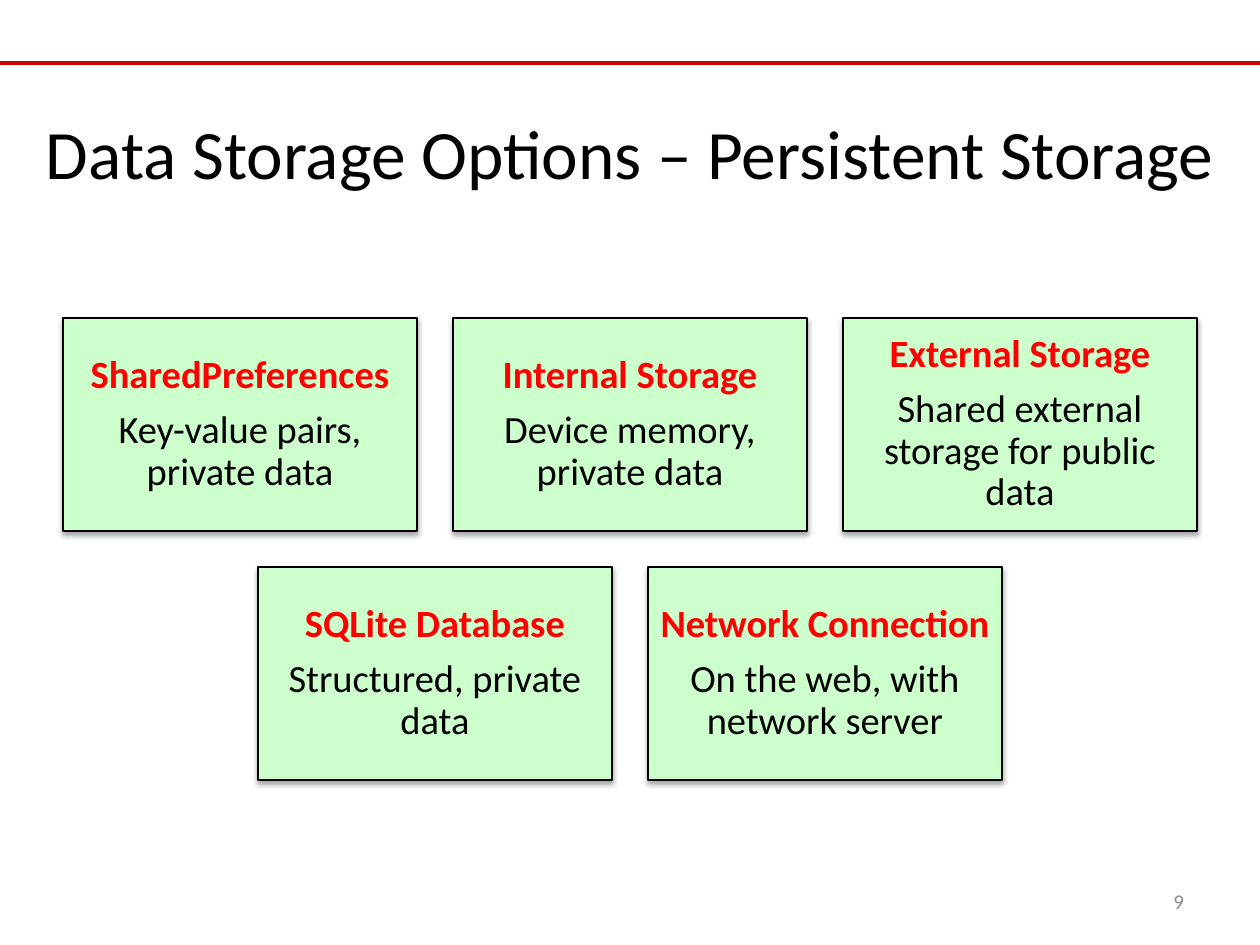
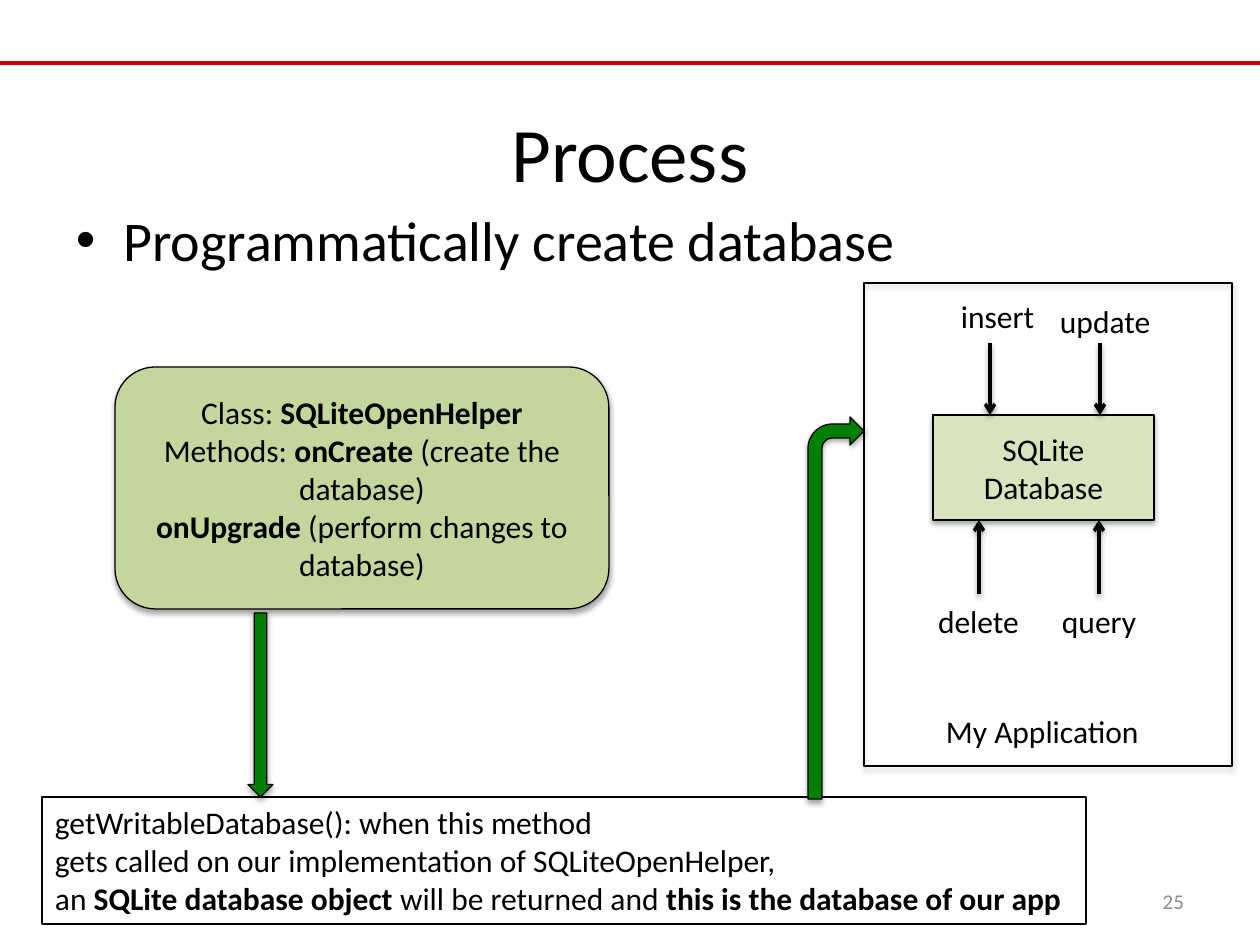
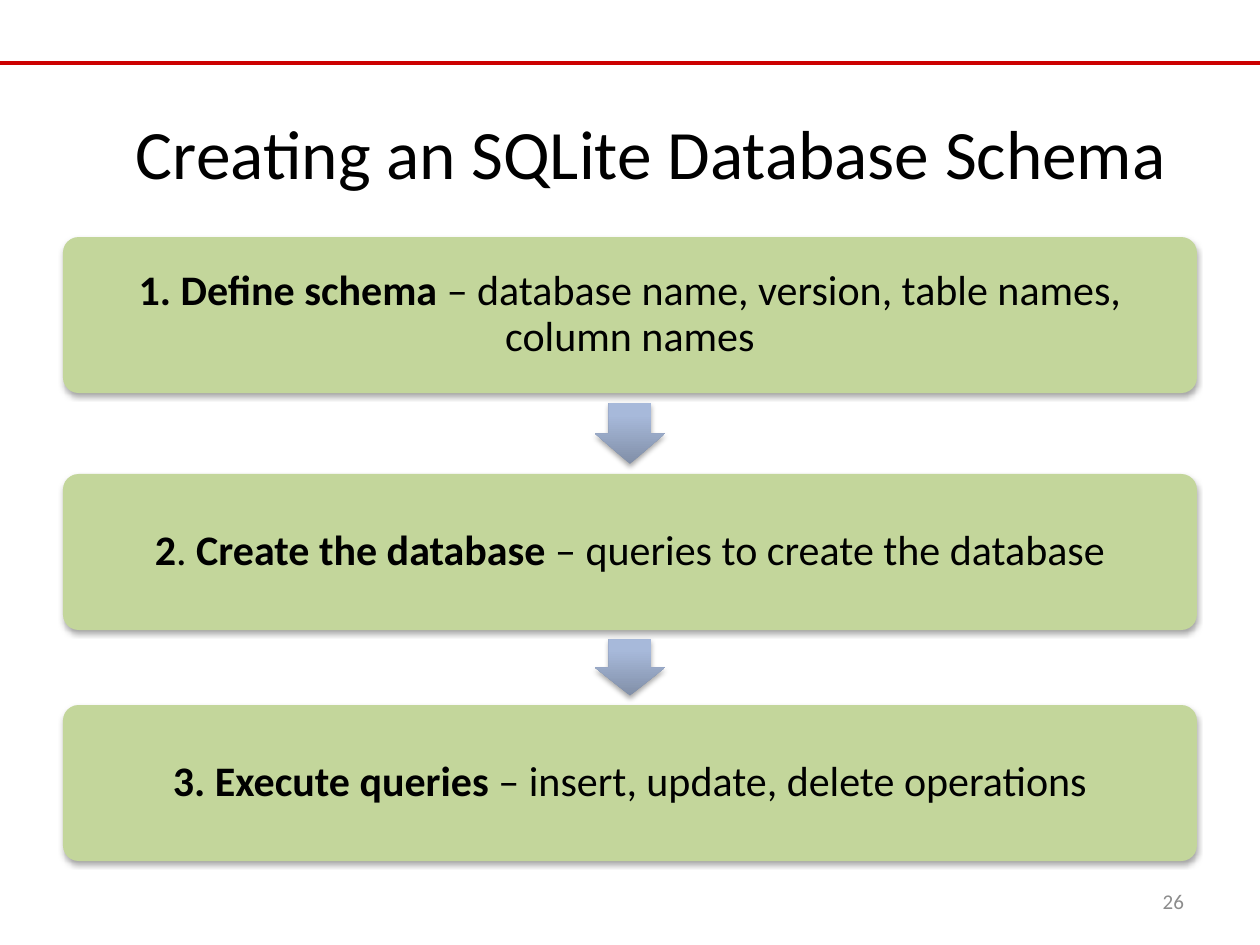
from lxml import etree
from pptx import Presentation
from pptx import util as u
from pptx.dml.color import RGBColor
from pptx.enum import shapes, text
from pptx.oxml import ns

PX = 914400 / 126
WIDTH, HEIGHT = 1260, 945

BLACK = RGBColor(0x00, 0x00, 0x00)
GREY = RGBColor(0x8C, 0x8C, 0x8C)
RED = RGBColor(0xFF, 0x00, 0x00)
RULE_RED = RGBColor(0xCC, 0x00, 0x00)
MINT = RGBColor(0xCC, 0xFF, 0xCC)
OLIVE = RGBColor(0xC3, 0xD6, 0x9B)
PALE_OLIVE = RGBColor(0xD7, 0xE4, 0xBD)
ARROW_GREEN = RGBColor(0x00, 0x80, 0x00)
STEEL_DARK = RGBColor(0x81, 0x8F, 0xA8)
STEEL_LIGHT = RGBColor(0xA7, 0xB9, 0xDA)

LEFT, CENTER, RIGHT = (text.PP_ALIGN.LEFT, text.PP_ALIGN.CENTER, text.PP_ALIGN.RIGHT)
TOP, MIDDLE = text.MSO_ANCHOR.TOP, text.MSO_ANCHOR.MIDDLE
PRESET = shapes.MSO_SHAPE


def px(length):
    return u.Emu(round(length * PX))


def add_child(parent, tag, **attributes):
    child = etree.SubElement(parent, ns.qn(tag))
    for key, value in attributes.items():
        child.set(key, str(value))
    return child


def add_shadow(effects, distance, opacity):
    """Put a soft shadow straight below into an effect list."""
    shadow = add_child(effects, "a:outerShdw", blurRad=40000, dist=distance,
                       dir=5400000, rotWithShape=0)
    colour = add_child(shadow, "a:srgbClr", val="000000")
    add_child(colour, "a:alpha", val=opacity * 1000)


def write(frame, lines, size=18, colours=(BLACK,), align=LEFT, anchor=TOP,
          wrap=True, insets=(13, 6), spacing=None, before=None, after=None):
    """Fill a frame with one paragraph a line; *stars* enclose bold text.

    The last of the colours goes on for all further lines.
    """
    frame.word_wrap = wrap
    frame.vertical_anchor = anchor
    frame.auto_size = text.MSO_AUTO_SIZE.NONE if wrap else text.MSO_AUTO_SIZE.SHAPE_TO_FIT_TEXT
    frame.margin_left = frame.margin_right = px(insets[0])
    frame.margin_top = frame.margin_bottom = px(insets[1])
    for index, line in enumerate(lines):
        paragraph = frame.add_paragraph() if index else frame.paragraphs[0]
        paragraph.alignment = align
        paragraph.line_spacing = spacing
        paragraph.space_before = before
        paragraph.space_after = after
        for part, words in enumerate(line.split("*")):
            if words:
                run = paragraph.add_run()
                run.text = words
                run.font.name = "Calibri"
                run.font.size = u.Pt(size)
                run.font.bold = part % 2 == 1
                run.font.color.rgb = colours[min(index, len(colours) - 1)]


class Deck:
    def __init__(self):
        self.presentation = Presentation()
        self.presentation.slide_width = px(WIDTH)
        self.presentation.slide_height = px(HEIGHT)
        self.slide = None

    def new_slide(self, title, number, title_size=39.6, title_left=63, title_width=1134):
        self.slide = self.presentation.slides.add_slide(self.presentation.slide_layouts[6])
        self.line(WIDTH, 63, 0, 63, RULE_RED, 2.25)
        self.label(title_left, 73, title_width, 158, [title], size=title_size,
                   align=CENTER, anchor=MIDDLE)
        self.label(903, 876, 294, 50, [str(number)], size=12, colours=(GREY,),
                   align=RIGHT, anchor=MIDDLE)

    def label(self, left, top, width, height, lines, **style):
        box = self.slide.shapes.add_textbox(px(left), px(top), px(width), px(height))
        write(box.text_frame, lines, **style)
        return box

    def shape(self, preset, left, top, width, height, fill=None, outlined=True,
              shadow=True, adjust=(), lines=(), **style):
        shape = self.slide.shapes.add_shape(preset, px(left), px(top), px(width), px(height))
        for index, value in enumerate(adjust):
            shape.adjustments[index] = value
        if fill is None:
            shape.fill.background()
        else:
            shape.fill.solid()
            shape.fill.fore_color.rgb = fill
        if outlined:
            shape.line.color.rgb = BLACK
            shape.line.width = u.Pt(0.75)
        else:
            shape.line.fill.background()
        shape.shadow.inherit = False
        if shadow:
            add_shadow(shape.element.spPr.find(ns.qn("a:effectLst")), 23000, 35)
        if lines:
            write(shape.text_frame, lines, **style)
        return shape

    def line(self, x1, y1, x2, y2, colour, weight, arrow=False):
        """Draw a line; an arrow also gets a head at its end and a shadow."""
        line = self.slide.shapes.add_connector(
            shapes.MSO_CONNECTOR.STRAIGHT, px(x1), px(y1), px(x2), px(y2))
        line.line.color.rgb = colour
        line.line.width = u.Pt(weight)
        properties = line.element.spPr
        effects = add_child(properties, "a:effectLst")
        if arrow:
            add_child(properties.find(ns.qn("a:ln")), "a:tailEnd", type="arrow")
            add_shadow(effects, 20000, 38)

    def bullet(self, left, top, width, height, words, size):
        box = self.label(left, top, width, height, [words], size=size, before=u.Pt(size / 5))
        properties = box.text_frame.paragraphs[0]._p.get_or_add_pPr()
        properties.set("marL", "342900")
        properties.set("indent", "-342900")
        add_child(properties, "a:buFont", typeface="Arial")
        add_child(properties, "a:buChar", char="•")


def storage_options(deck):
    deck.new_slide("Data Storage Options – Persistent Storage", 9,
                   title_left=0, title_width=WIDTH)
    rows = [
        [("SharedPreferences", "Key-value pairs, private data"),
         ("Internal Storage", "Device memory, private data"),
         ("External Storage", "Shared external storage for public data")],
        [("SQLite Database", "Structured, private data"),
         ("Network Connection", "On the web, with network server")],
    ]
    width, height, gap = 354, 213, 36
    for row, options in enumerate(rows):
        start = (WIDTH - len(options) * (width + gap) + gap) // 2
        for column, (option, use) in enumerate(options):
            deck.shape(PRESET.RECTANGLE, start + column * (width + gap),
                       318 + row * (height + gap), width, height, MINT,
                       lines=[f"*{option}*", use], size=22, colours=(RED, BLACK),
                       align=CENTER, anchor=MIDDLE, insets=(11, 11),
                       spacing=0.9, after=u.Pt(7.7))


def process(deck):
    deck.new_slide("Process", 25, title_size=44)
    deck.bullet(63, 199, 1134, 662, "Programmatically create database", 32)
    deck.shape(PRESET.ROUNDED_RECTANGLE, 115, 367, 494, 242, OLIVE,
               lines=["Class: *SQLiteOpenHelper*",
                      "Methods: *onCreate* (create the database)",
                      "*onUpgrade *(perform changes to database)"],
               align=CENTER, anchor=MIDDLE)

    deck.shape(PRESET.RECTANGLE, 933, 415, 221, 105, PALE_OLIVE,
               lines=["SQLite Database"], align=CENTER, anchor=MIDDLE)
    operations = [("insert", 948, 291, 100), ("update", 1047, 296, 117),
                  ("delete", 925, 596, 107), ("query", 1049, 596, 101),
                  ("My Application", 933, 706, 220)]
    for name, left, top, width in operations:
        deck.label(left, top, width, 50, [name], wrap=False)
    for x, start, end in [(990, 343, 415), (1100, 343, 415),
                          (979, 594, 520), (1099, 594, 520)]:
        deck.line(x, start, x, end, BLACK, 2, arrow=True)
    deck.shape(PRESET.RECTANGLE, 864, 283, 368, 483)

    deck.shape(PRESET.RECTANGLE, 42, 797, 1044, 127, shadow=False, wrap=False,
               lines=["getWritableDatabase(): when this method",
                      "gets called on our implementation of SQLiteOpenHelper,",
                      "an *SQLite database object *will be returned and "
                      "*this is the database of our app*"])
    deck.shape(PRESET.DOWN_ARROW, 248, 613, 25, 184, ARROW_GREEN)
    deck.shape(PRESET.BENT_ARROW, 808, 417, 56, 382, ARROW_GREEN)


def schema_steps(deck):
    deck.new_slide("Creating an SQLite Database Schema", 26, title_left=84)
    steps = ["*1. Define schema *– database name, version, table names, column names",
             "*2*. *Create the database *– queries to create the database",
             "*3. Execute queries *– insert, update, delete operations"]
    tops, height = (237, 474, 705), 156
    for top, step in zip(tops, steps):
        deck.shape(PRESET.ROUNDED_RECTANGLE, 63, top, 1134, height, OLIVE, outlined=False,
                   adjust=(0.1,), lines=[step], size=24, align=CENTER, anchor=MIDDLE,
                   insets=(13, 13), spacing=0.9, after=u.Pt(8.4))
    for top, following in zip(tops, tops[1:]):
        gap = following - top - height
        arrow = deck.shape(PRESET.DOWN_ARROW, 595, top + height + gap / 8, 70, gap * 3 / 4,
                           outlined=False, adjust=(0.6, 0.5))
        arrow.fill.gradient()
        arrow.fill.gradient_angle = 90
        for stop, position, colour in zip(arrow.fill.gradient_stops, (0, 0.8),
                                          (STEEL_DARK, STEEL_LIGHT)):
            stop.position = position
            stop.color.rgb = colour


def main():
    deck = Deck()
    storage_options(deck)
    process(deck)
    schema_steps(deck)
    deck.presentation.save("out.pptx")


if __name__ == "__main__":
    main()
